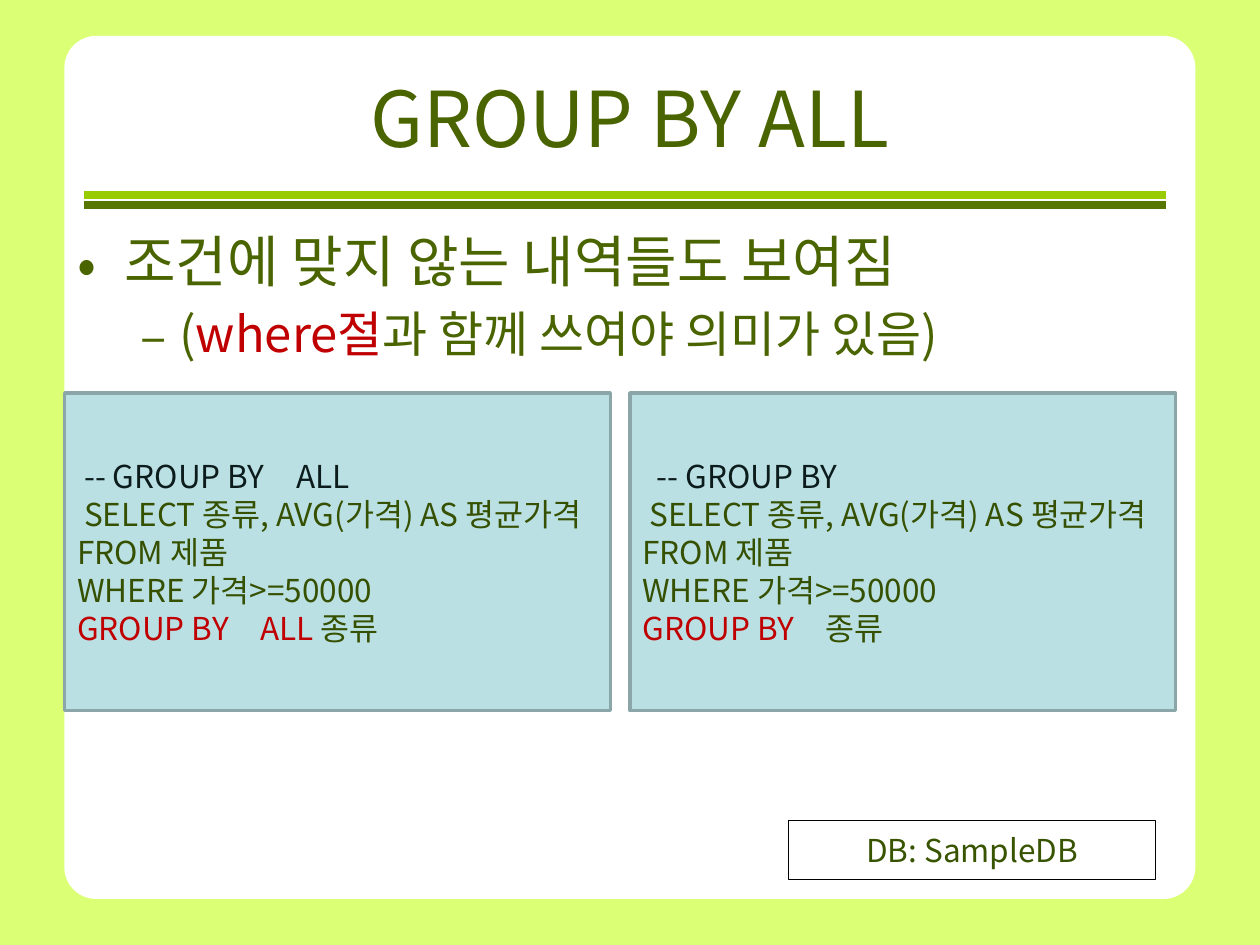
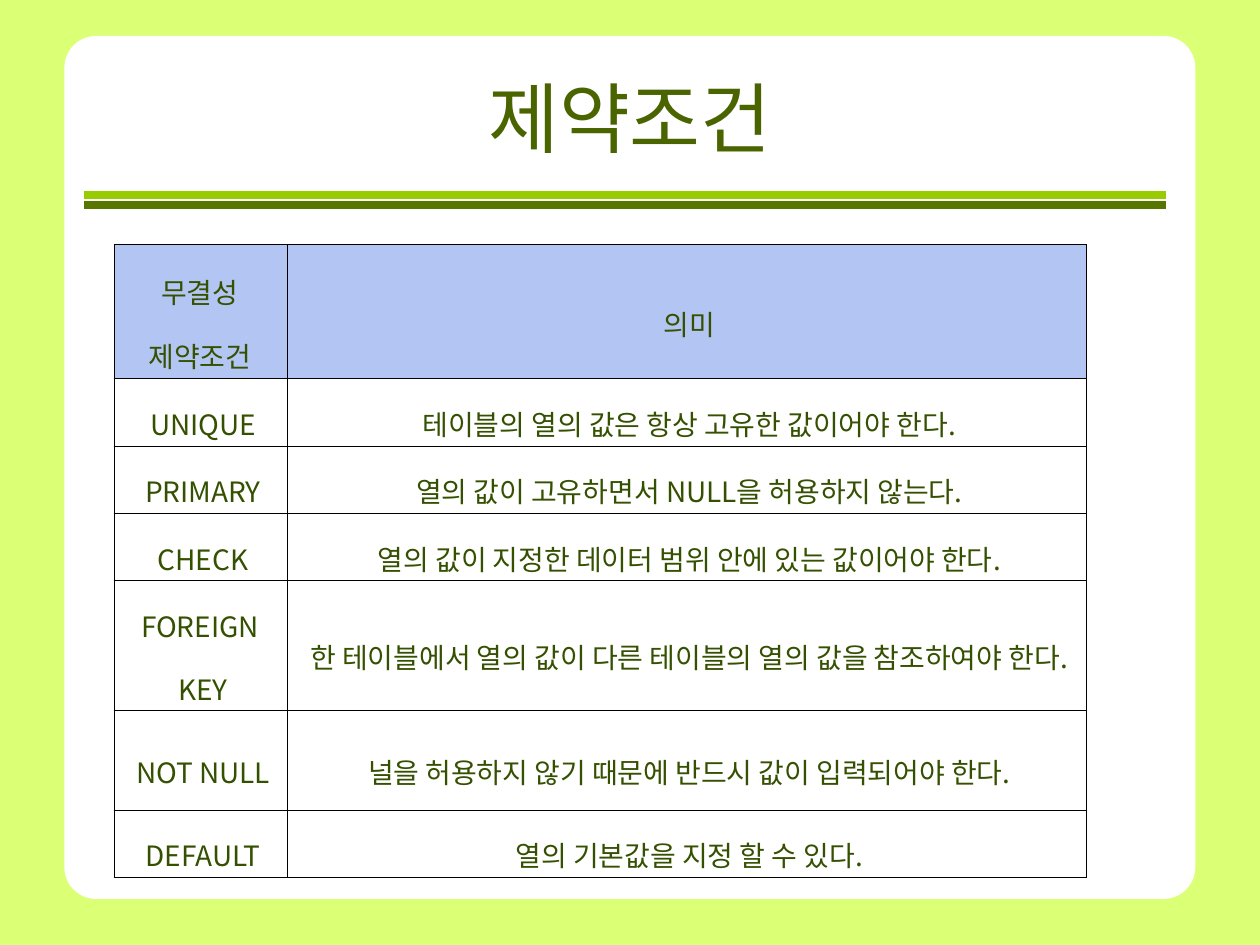
from lxml.etree import SubElement
from pptx import Presentation
from pptx.dml.color import RGBColor
from pptx.enum.shapes import MSO_CONNECTOR as CONN, MSO_SHAPE as SHAPE
from pptx.enum.text import MSO_ANCHOR as ANCHOR, PP_ALIGN as ALIGN
from pptx.oxml.ns import qn
from pptx.util import Pt

FONT = "Noto Sans CJK KR"
C = {
    "page": "DBFF75", "card": "FFFFFF", "rule_light": "99CC00", "rule_dark": "577600",
    "title": "4A6400", "code": "355000", "comment": "0C1C1D", "red": "C00000",
    "panel": "BBE0E3", "panel_line": "8AA6A8", "note": "385400",
    "header": "B3C5F3", "black": "000000",
}
RGB = {name: RGBColor.from_string(value) for name, value in C.items()}


def write(p, size, *runs, kerned=True):
    """Add (text, colour name) runs, with the font set for Latin and Korean."""
    for text, colour in runs:
        r = p.add_run()
        r.text = text
        r.font.size = Pt(size)
        r.font.name = FONT
        r.font.color.rgb = RGB[colour]
        rPr = r._r.get_or_add_rPr()
        SubElement(rPr, qn("a:ea"), typeface=FONT)
        if not kerned:
            rPr.set("kern", "0")


def add_box(s, kind, x, y, w, h, fill=None, line=None, line_width=1):
    sp = s.shapes.add_shape(kind, Pt(x), Pt(y), Pt(w), Pt(h))
    sp.shadow.inherit = False
    if fill:
        sp.fill.solid()
        sp.fill.fore_color.rgb = RGB[fill]
    else:
        sp.fill.background()
    if line:
        sp.line.color.rgb = RGB[line]
        sp.line.width = Pt(line_width)
    else:
        sp.line.fill.background()
    tf = sp.text_frame
    tf.word_wrap = True
    tf.vertical_anchor = ANCHOR.MIDDLE
    return sp


prs = Presentation()
prs.slide_width, prs.slide_height = Pt(720), Pt(540)

# Shared frame: page colour, white card, double rule and title
slides = []
for title in ("GROUP BY ALL", "제약조건"):
    s = prs.slides.add_slide(prs.slide_layouts[6])
    s.background.fill.solid()
    s.background.fill.fore_color.rgb = RGB["page"]
    card = add_box(s, SHAPE.ROUNDED_RECTANGLE, 36.8, 20.5, 646.3, 493.2, "card")
    card.adjustments[0] = 0.037
    for y, colour in ((111.4, "rule_light"), (117, "rule_dark")):
        rule = s.shapes.add_connector(CONN.STRAIGHT, Pt(48), Pt(y), Pt(666), Pt(y))
        rule.line.color.rgb = RGB[colour]
        rule.line.width = Pt(4.5)
        SubElement(rule._element.spPr, qn("a:effectLst"))
    tf = s.shapes.add_textbox(Pt(36), Pt(21.6), Pt(648), Pt(90)).text_frame
    tf.word_wrap = True
    tf.vertical_anchor = ANCHOR.MIDDLE
    p = tf.paragraphs[0]
    p.alignment = ALIGN.CENTER
    write(p, 44, (title, "title"))
    slides.append(s)
group_slide, constraint_slide = slides

# GROUP BY ALL: bullets
bullets = [
    ("•", 32, 27, 27, 0, [("조건에 맞지 않는 내역들도 보여짐", "title")]),
    ("–", 28, 58.5, 22.5, 5.6,
     [("(", "title"), ("where절", "red"), ("과 함께 쓰여야 의미가 있음)", "title")]),
]
tf = group_slide.shapes.add_textbox(Pt(37), Pt(126), Pt(648), Pt(356)).text_frame
tf.word_wrap = True
for i, (mark, size, left, hang, before, runs) in enumerate(bullets):
    p = tf.add_paragraph() if i else tf.paragraphs[0]
    p.level = i
    if before:
        p.space_before = Pt(before)
    pPr = p._p.get_or_add_pPr()
    pPr.set("marL", str(Pt(left)))
    pPr.set("indent", str(-Pt(hang)))
    SubElement(pPr, qn("a:buFont"), typeface=FONT)
    SubElement(pPr, qn("a:buChar"), char=mark)
    write(p, size, *runs, kerned=False)

# GROUP BY ALL: the two queries side by side
query = [
    [(" SELECT 종류, AVG(가격) AS 평균가격", "code")],
    [("FROM 제품", "code")],
    [("WHERE 가격>=50000", "code")],
]
panels = [
    (" -- GROUP BY　ALL", [("GROUP BY　ALL ", "red"), ("종류", "code")]),
    ("  -- GROUP BY", [("GROUP BY", "red"), ("　종류", "code")]),
]
for i, (comment, grouping) in enumerate(panels):
    sp = add_box(group_slide, SHAPE.RECTANGLE, 37 + i * 323, 224.6, 311.8, 181.6,
                 "panel", "panel_line", 2)
    tf = sp.text_frame
    for j, runs in enumerate([[(comment, "comment")], *query, grouping]):
        p = tf.add_paragraph() if j else tf.paragraphs[0]
        p.alignment = ALIGN.LEFT
        write(p, 18, *runs)

note = add_box(group_slide, SHAPE.RECTANGLE, 450.7, 468.7, 209.8, 34, line="black", line_width=0.75)
note.text_frame.word_wrap = False
p = note.text_frame.paragraphs[0]
p.alignment = ALIGN.CENTER
write(p, 18, ("DB: SampleDB", "note"))

# Constraints table: row height, then one list of lines per cell
rows = [
    (76.6, ["무결성 ", "제약조건 "], ["의미"]),
    (38.5, ["UNIQUE"], ["테이블의 열의 값은 항상 고유한 값이어야 한다."]),
    (38.5, ["PRIMARY"], ["열의 값이 고유하면서 NULL을 허용하지 않는다."]),
    (38.5, ["CHECK"], ["열의 값이 지정한 데이터 범위 안에 있는 값이어야 한다."]),
    (74.2, ["FOREIGN ", "KEY"],
     ["한 테이블에서 열의 값이 다른 테이블의 열의 값을 참조하여야 한다."]),
    (56.9, ["NOT NULL"], ["널을 허용하지 않기 때문에 반드시 값이 입력되어야 한다."]),
    (38.5, ["DEFAULT"], ["열의 기본값을 지정 할 수 있다."]),
]
height = sum(row[0] for row in rows)
table = constraint_slide.shapes.add_table(
    len(rows), 2, Pt(65.1), Pt(139.7), Pt(555.8), Pt(height)).table
table.first_row = table.horz_banding = False
for column, width in zip(table.columns, (99.3, 456.5)):
    column.width = Pt(width)
for i, (row_height, *cells) in enumerate(rows):
    table.rows[i].height = Pt(row_height)
    for j, lines in enumerate(cells):
        cell = table.cell(i, j)
        cell.vertical_anchor = ANCHOR.MIDDLE
        cell.margin_left = cell.margin_right = Pt(5)
        cell.margin_top = cell.margin_bottom = Pt(1.4)
        tcPr = cell._tc.get_or_add_tcPr()
        for side in ("lnL", "lnR", "lnT", "lnB"):
            border = SubElement(tcPr, qn(f"a:{side}"), w=str(Pt(0.4)))
            fill = SubElement(border, qn("a:solidFill"))
            SubElement(fill, qn("a:srgbClr"), val=C["black"])
        if i == 0:
            cell.fill.solid()
            cell.fill.fore_color.rgb = RGB["header"]
        else:
            cell.fill.background()
        for k, line in enumerate(lines):
            tf = cell.text_frame
            p = tf.add_paragraph() if k else tf.paragraphs[0]
            p.alignment = ALIGN.CENTER
            p.line_spacing = 1.55 if i else 1.6
            pPr = p._p.get_or_add_pPr()
            pPr.set("marL", str(Pt(2.5)))
            pPr.set("indent", "0")
            write(p, 16, (line, "code"), kerned=False)

prs.save("out.pptx")
